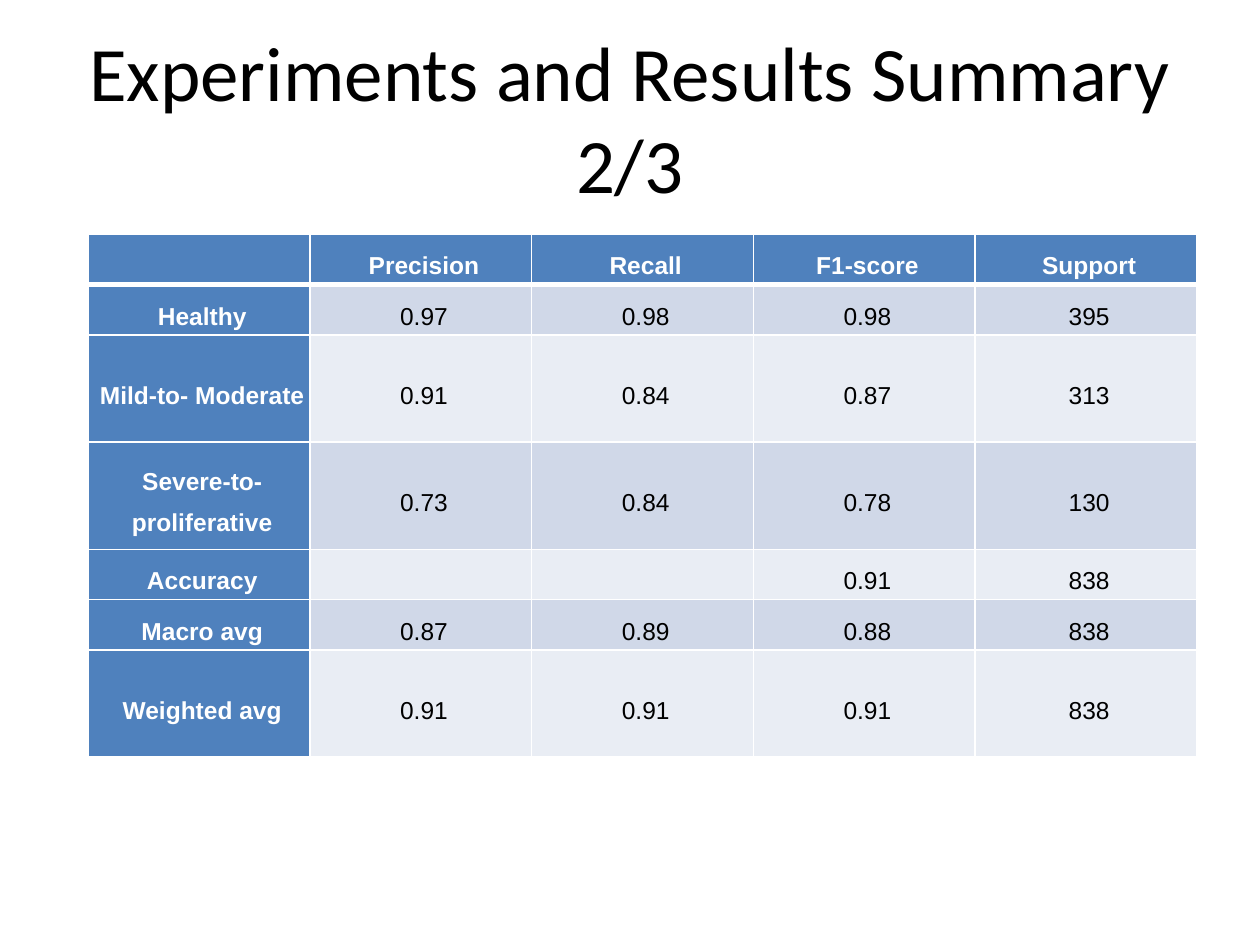
from lxml import etree
from pptx import Presentation
from pptx import util as u
from pptx.dml.color import RGBColor
from pptx.enum import text
from pptx.oxml import ns

WHITE = RGBColor(0xFF, 0xFF, 0xFF)
BLACK = RGBColor(0, 0, 0)
HEADING_BLUE = RGBColor(0x4F, 0x81, 0xBD)
BAND_DARK = RGBColor(0xD0, 0xD8, 0xE8)
BAND_LIGHT = RGBColor(0xE9, 0xED, 0xF4)

WIDTH, HEIGHT = u.Inches(10), u.Inches(7.5)
SHORT_ROW, TALL_ROW = u.Inches(0.4), u.Inches(0.85)
TALL_LABELS = {"Mild-to- Moderate", "Severe-to- proliferative", "Weighted avg"}
THIN, THICK = u.Pt(1), u.Pt(3)

TITLE = "Experiments and Results Summary 2/3"
SCORES = [
    ["", "Precision", "Recall", "F1-score", "Support"],
    ["Healthy", "0.97", "0.98", "0.98", "395"],
    ["Mild-to- Moderate", "0.91", "0.84", "0.87", "313"],
    ["Severe-to- proliferative", "0.73", "0.84", "0.78", "130"],
    ["Accuracy", "", "", "0.91", "838"],
    ["Macro avg", "0.87", "0.89", "0.88", "838"],
    ["Weighted avg", "0.91", "0.91", "0.91", "838"],
]

TITLE_FONT = {"name": "Calibri", "size": u.Pt(44), "bold": False}
TABLE_FONT = {"name": "Arial", "size": u.Pt(14)}
CELL_FORMAT = {
    "margin_left": u.Inches(0.05), "margin_right": 0,
    "margin_top": 0, "margin_bottom": 0,
    "vertical_anchor": text.MSO_ANCHOR.MIDDLE,
}


def set_all(target, values):
    for name, value in values.items():
        setattr(target, name, value)


def write(para, wording, font, color):
    para.alignment = text.PP_ALIGN.CENTER
    set_all(para.font, font)
    para.font.color.rgb = color
    if wording:
        span = para.add_run()
        span.text = wording
        set_all(span.font, font)
        span.font.color.rgb = color


def add_title(page):
    box = page.shapes.add_textbox(
        int(WIDTH * 0.05), int(HEIGHT * 0.04), int(WIDTH * 0.9), u.Inches(1.25))
    frame = box.text_frame
    set_all(frame, {"word_wrap": True, "vertical_anchor": text.MSO_ANCHOR.MIDDLE})
    write(frame.paragraphs[0], TITLE, TITLE_FONT, BLACK)


def add_borders(cell, top, bottom):
    """Draw white cell edges; they must precede the fill in the XML."""
    properties = cell._tc.get_or_add_tcPr()
    edges = {"lnL": THIN, "lnR": THIN, "lnT": top, "lnB": bottom}
    for index, (tag, width) in enumerate(edges.items()):
        line = etree.Element(ns.qn(f"a:{tag}"), w=str(width))
        fill = etree.SubElement(line, ns.qn("a:solidFill"))
        etree.SubElement(fill, ns.qn("a:srgbClr"), val=str(WHITE))
        properties.insert(index, line)


def fill_cell(cell, wording, row, column):
    heading = row == 0 or column == 0
    band = BAND_DARK if row % 2 else BAND_LIGHT
    set_all(cell, CELL_FORMAT)
    cell.fill.solid()
    cell.fill.fore_color.rgb = HEADING_BLUE if heading else band
    add_borders(cell, THICK if row == 1 else THIN, THICK if row == 0 else THIN)
    para = cell.text_frame.paragraphs[0]
    para.line_spacing = 1.5
    write(para, wording, {**TABLE_FONT, "bold": heading},
          WHITE if heading else BLACK)


def add_score_table(page):
    heights = [TALL_ROW if scores[0] in TALL_LABELS else SHORT_ROW
               for scores in SCORES]
    table = page.shapes.add_table(
        len(SCORES), len(SCORES[0]), int(WIDTH * 0.07), u.Inches(1.86),
        int(WIDTH * 0.88), sum(heights)).table
    for row, (scores, height) in enumerate(zip(SCORES, heights)):
        table.rows[row].height = height
        for column, wording in enumerate(scores):
            fill_cell(table.cell(row, column), wording, row, column)


def main():
    deck = Presentation()
    set_all(deck, {"slide_width": WIDTH, "slide_height": HEIGHT})
    page = deck.slides.add_slide(deck.slide_layouts[6])
    add_title(page)
    add_score_table(page)
    deck.save("out.pptx")


if __name__ == "__main__":
    main()
